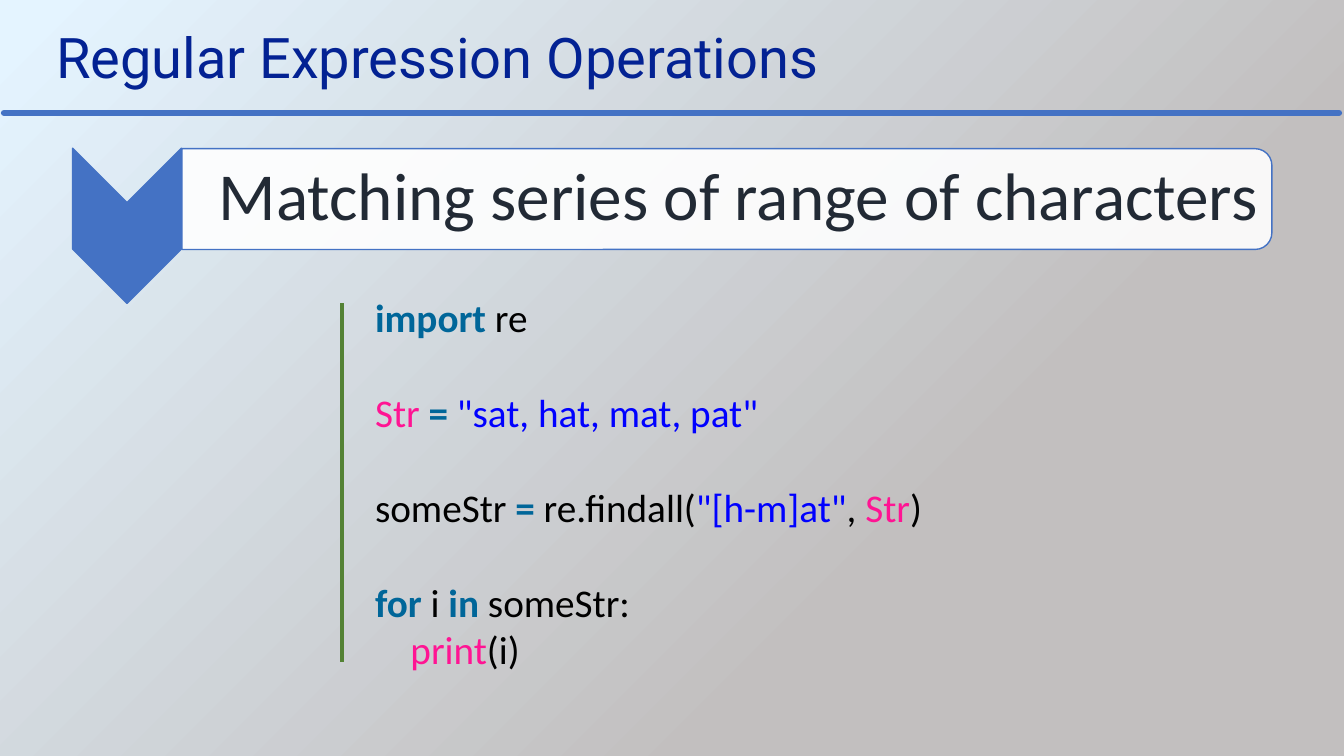
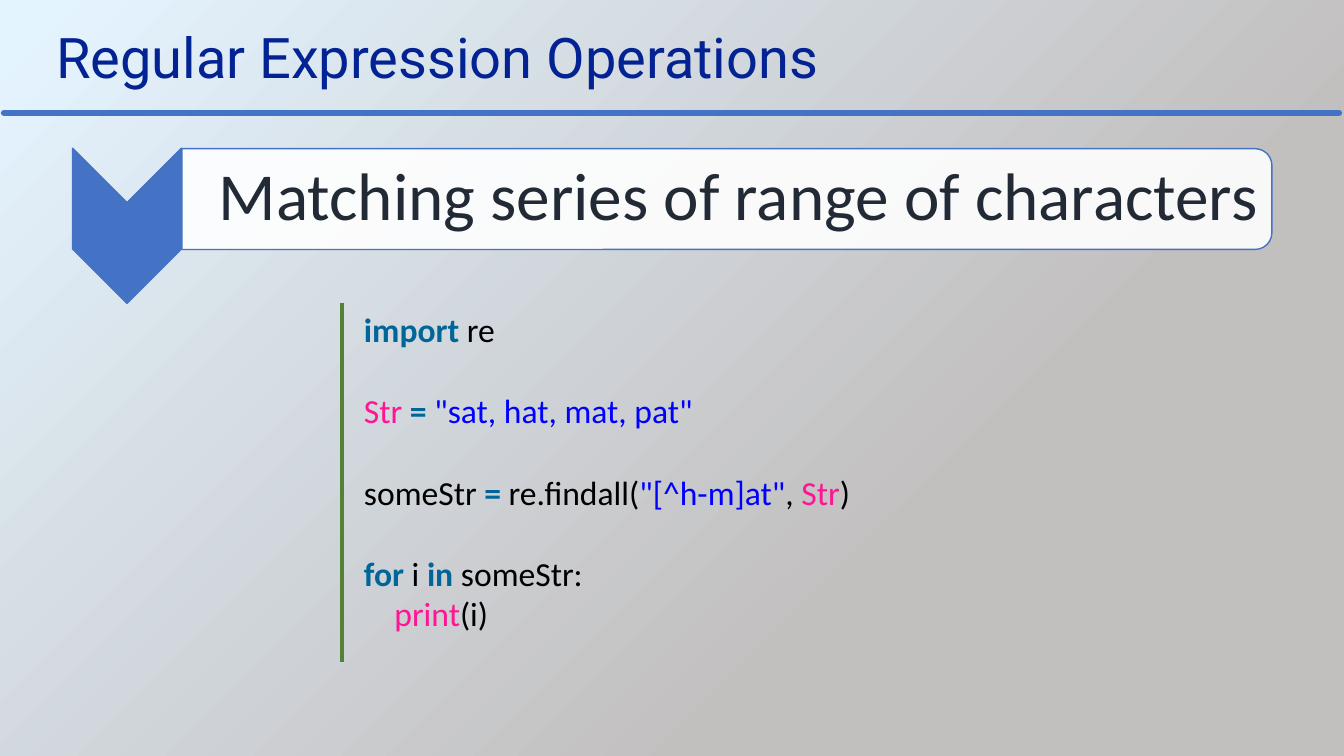
from lxml.etree import SubElement as Sub
from pptx import Presentation
from pptx.dml.color import RGBColor as Rgb
from pptx.enum.shapes import MSO_CONNECTOR as Conn, MSO_SHAPE as Kind
from pptx.enum.text import MSO_ANCHOR as Anchor
from pptx.oxml.ns import qn
from pptx.util import Inches, Pt


class Deck:
    """Hold the shared style and the slide being built."""

    hues = {
        "pale": "E4F4FF", "gray": "C2BFBF", "navy": "032293",
        "blue": "4472C4", "white": "FFFFFF", "ink": "222A35",
        "green": "548235", "key": "006699", "name": "FF1493",
        "str": "0000FF", "plain": "000000",
    }

    def __init__(self):
        self.prs = Presentation()
        self.prs.slide_width = Inches(13.33)
        self.prs.slide_height = Inches(7.5)
        self.slide = None

    def hue(self, name):
        return Rgb.from_string(self.hues[name])

    def start(self, title, head):
        self.slide = self.prs.slides.add_slide(self.prs.slide_layouts[6])
        fill = self.slide.background.fill
        fill.gradient()
        fill.gradient_angle = 315
        for stop, name, spot in zip(fill.gradient_stops, ("pale", "gray"), (0.02, 0.69)):
            stop.color.rgb = self.hue(name)
            stop.position = spot
        frame = self.box(0.46, 0.17, 10.77, 0.77)
        frame.text = title
        self.style(frame.paragraphs[0].runs[0], 40, "navy", "Roboto")
        self.line((0.04, 1.12), (13.28, 1.12), "blue", 4.5, "rnd")
        self.banner(head)

    def style(self, run, size, name, face="Calibri", bold=False):
        font = run.font
        font.size, font.name, font.bold = Pt(size), face, bold
        font.color.rgb = self.hue(name)

    def box(self, left, top, wide, high, pads=None):
        shape = self.slide.shapes.add_textbox(*map(Inches, (left, top, wide, high)))
        frame = shape.text_frame
        frame.word_wrap = True
        if pads:
            frame.vertical_anchor = Anchor.MIDDLE
            (frame.margin_left, frame.margin_top,
             frame.margin_right, frame.margin_bottom) = map(Inches, pads)
        return frame

    def line(self, start, end, name, width, cap="flat"):
        line = self.slide.shapes.add_connector(
            Conn.STRAIGHT, *map(Inches, start + end))
        line.line.color.rgb = self.hue(name)
        line.line.width = Pt(width)
        props = line.element.spPr
        props.find(qn("a:ln")).set("cap", cap)
        Sub(props, qn("a:effectLst"))

    def shape(self, kind, left, top, wide, high, name, alpha=100):
        shape = self.slide.shapes.add_shape(
            kind, *map(Inches, (left, top, wide, high)))
        shape.rotation = 90
        shape.shadow.inherit = False
        shape.fill.solid()
        shape.fill.fore_color.rgb = self.hue(name)
        shape.line.color.rgb = self.hue("blue")
        shape.line.width = Pt(1)
        if alpha < 100:
            tint = shape.element.spPr.find(qn("a:solidFill"))[0]
            Sub(tint, qn("a:alpha")).set("val", str(alpha * 1000))

    def banner(self, text):
        self.shape(Kind.CHEVRON, 0.49, 1.7, 1.54, 1.08, "blue")
        self.shape(Kind.ROUND_2_SAME_RECTANGLE, 6.71, -3.43, 1, 10.81, "white", 90)
        frame = self.box(1.8, 1.52, 10.76, 0.9, (0.37, 0.03, 0.03, 0.03))
        frame.text = text
        para = frame.paragraphs[0]
        para.line_spacing = 0.9
        self.style(para.runs[0], 48, "ink")

    def code(self, blocks, size, *place):
        self.line((3.39, 3.01), (3.39, 6.57), "green", 3)
        frame = self.box(*place, (0, 0, 0, 0))
        para = frame.paragraphs[0]
        for i, block in enumerate(blocks):
            for j, row in enumerate(block):
                if i or j:
                    para = frame.add_paragraph()
                if i and not j:
                    para.space_before = Pt(round(size * 1.22, 1))
                for name, text in row:
                    run = para.add_run()
                    run.text = text
                    self.style(run, size, name, bold=name == "key")


def script(rule):
    return [
        [[("key", "import "), ("plain", "re")]],
        [[("name", "Str "), ("key", "= "), ("str", '"sat, hat, mat, pat"')]],
        [[("plain", "someStr "), ("key", "= "), ("plain", "re.findall("),
          ("str", f'"{rule}"'), ("plain", ", "), ("name", "Str"), ("plain", ")")]],
        [[("key", "for "), ("plain", "i "), ("key", "in "), ("plain", "someStr:")],
         [("name", "    print"), ("plain", "(i)")]],
    ]


def main():
    deck = Deck()
    for rule, size, place in (
        ("[h-m]at", 28, (3.72, 2.91, 6.13, 3.77)),
        ("[^h-m]at", 24, (3.61, 3.06, 7.32, 3.23)),
    ):
        deck.start("Regular Expression Operations",
                   "Matching series of range of characters")
        deck.code(script(rule), size, *place)
    deck.prs.save("out.pptx")


if __name__ == "__main__":
    main()
